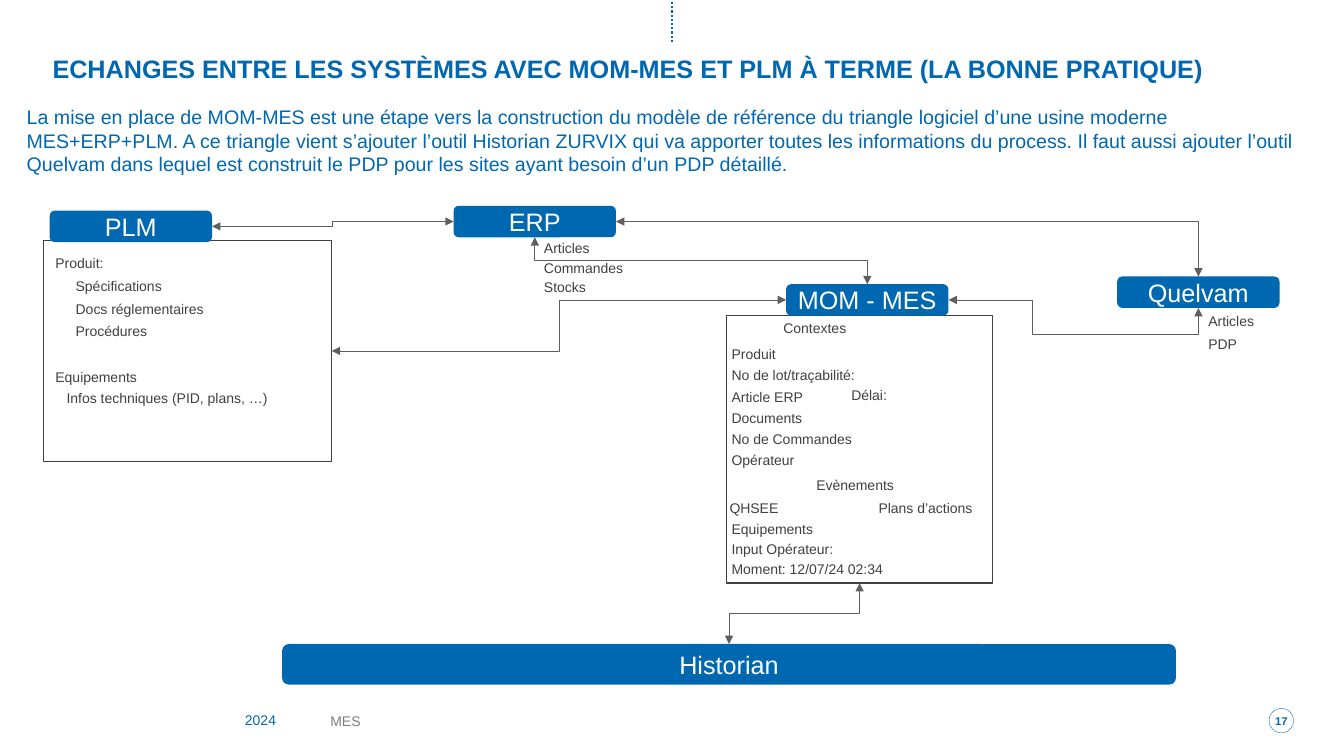
from lxml.etree import SubElement
from pptx import Presentation
from pptx.dml.color import RGBColor
from pptx.enum.dml import MSO_LINE
from pptx.enum.shapes import MSO_CONNECTOR as LINK, MSO_SHAPE as SHAPE
from pptx.enum.text import MSO_ANCHOR as ANCHOR, MSO_AUTO_SIZE as FIT, PP_ALIGN as ALIGN
from pptx.oxml.ns import qn
from pptx.util import Pt

COLORS = {"blue": "0067B1", "white": "FFFFFF", "text": "404040", "link": "5F5F5F", "footer": "7F7F7F"}
FONT = "Arial"

TITLE = "ECHANGES ENTRE LES SYSTÈMES AVEC MOM-MES ET PLM À TERME (LA BONNE PRATIQUE)"
INTRO = (
    "La mise en place de MOM-MES est une étape vers la construction du modèle de référence du triangle "
    "logiciel d’une usine moderne MES+ERP+PLM. A ce triangle vient s’ajouter l’outil Historian ZURVIX "
    "qui va apporter toutes les informations du process. Il faut aussi ajouter l’outil Quelvam dans lequel "
    "est construit le PDP pour les sites ayant besoin d’un PDP détaillé."
)
FRAMES = {"PLM data": (31, 171.5, 206, 158.5), "MES data": (519, 225.5, 190, 191)}
SYSTEMS = {
    "ERP": (324, 147, 116, 22.5),
    "PLM": (35.5, 150.5, 116, 22.5),
    "MOM - MES": (561.5, 203, 116, 22.5),
    "Historian": (201.5, 460, 638.5, 29),
    "Quelvam": (798, 197.5, 116, 22.5),
}
TOP, LEFT, BOTTOM, RIGHT = range(4)
EXCHANGES = [
    ("PLM data", RIGHT, "MOM - MES", LEFT, "bentConnector3", ()),
    ("PLM", RIGHT, "ERP", LEFT, "bentConnector3", ()),
    ("MOM - MES", TOP, "ERP", BOTTOM, "bentConnector3", ()),
    ("MES data", BOTTOM, "Historian", TOP, "bentConnector3", ()),
    ("Quelvam", TOP, "ERP", RIGHT, "bentConnector2", ()),
    ("MOM - MES", RIGHT, "Quelvam", BOTTOM, "bentConnector4", (33700, 424300)),
]
LABELS = [
    (32.5, 178, 0, 63, ["Produit:"]),
    (47, 195, 16, 108, ["Spécifications", "Docs réglementaires", "Procédures"]),
    (32.5, 259.5, 0, 76, ["Equipements"]),
    (40.5, 275, 0, 161, ["Infos techniques (PID, plans, …)"]),
    (381.5, 167.5, 14, 76, ["Articles", "Commandes", "Stocks"]),
    (552.5, 224.5, 0, 76, ["Contextes"]),
    (515.5, 243.5, 15.1, 116,
     ["Produit", "No de lot/traçabilité:", "Article ERP", "Documents", "No de Commandes", "Opérateur"]),
    (601, 272.5, 0, 76, ["Délai:"]),
    (576, 336.5, 0, 76, ["Evènements"]),
    (514, 353.5, 0, 76, ["QHSEE"]),
    (620.5, 353, 0, 88.5, ["Plans d’actions"]),
    (515.5, 368, 14.3, 128, ["Equipements", "Input Opérateur:", "Moment: 12/07/24 02:34"]),
    (856, 219.5, 16.5, 76, ["Articles", "PDP"]),
]
FOOTER = [
    ("2024", (175, 508.5, 61, 13), "blue"),
    ("MES", (236, 509, 124, 12), "footer"),
]
PAGE = "17"


def color(name):
    return RGBColor.from_string(COLORS[name])


def write(shape, words, size, tint, bold=False, align=ALIGN.LEFT, anchor=ANCHOR.TOP, inset=None, wrap=True):
    frame = shape.text_frame
    frame.word_wrap = wrap
    frame.auto_size = FIT.NONE
    frame.vertical_anchor = anchor
    if inset is not None:
        frame.margin_left = frame.margin_right = frame.margin_top = frame.margin_bottom = Pt(inset)
    paragraph = frame.paragraphs[0]
    paragraph.alignment = align
    run = paragraph.add_run()
    run.text = words
    run.font.name = FONT
    run.font.size = Pt(size)
    run.font.bold = bold
    run.font.color.rgb = color(tint)
    return paragraph


def add_text(place, words, size, tint, **options):
    write(slide.shapes.add_textbox(*map(Pt, place)), words, size, tint, **options)


def add_block(kind, place, fill=None, line=None, width=0.75):
    block = slide.shapes.add_shape(kind, *map(Pt, place))
    block.shadow.inherit = False
    if fill:
        block.fill.solid()
        block.fill.fore_color.rgb = color(fill)
    else:
        block.fill.background()
    if line:
        block.line.color.rgb = color(line)
        block.line.width = Pt(width)
    else:
        block.line.fill.background()
    return block


def style_line(connector, tint, width):
    connector.line.color.rgb = color(tint)
    connector.line.width = Pt(width)
    SubElement(connector._element.spPr, qn("a:effectLst"))


def turn_upright(connector):
    x1, y1, x2, y2 = connector.begin_x, connector.begin_y, connector.end_x, connector.end_y
    length, breadth = abs(y2 - y1), abs(x2 - x1)
    connector.left = (x1 + x2 - length) // 2
    connector.top = (y1 + y2 - breadth) // 2
    connector.width, connector.height = length, breadth
    downward = y2 > y1
    xfrm = connector._element.spPr.find(qn("a:xfrm"))
    xfrm.set("rot", str((90 if downward else 270) * 60000))
    xfrm.set("flipH", "0")
    xfrm.set("flipV", "0" if downward else "1")


def add_exchange(source, source_side, target, target_side, bend, adjustments):
    connector = slide.shapes.add_connector(LINK.ELBOW, 0, 0, 0, 0)
    connector.begin_connect(blocks[source], source_side)
    connector.end_connect(blocks[target], target_side)
    if source_side in (TOP, BOTTOM):
        turn_upright(connector)
    style_line(connector, "link", 0.5)
    properties = connector._element.spPr
    geometry = properties.find(qn("a:prstGeom"))
    geometry.set("prst", bend)
    guides = geometry.find(qn("a:avLst"))
    for number, value in enumerate(adjustments, 1):
        SubElement(guides, qn("a:gd"), name=f"adj{number}", fmla=f"val {value}")
    for end in ("a:headEnd", "a:tailEnd"):
        SubElement(properties.find(qn("a:ln")), qn(end), type="triangle")


deck = Presentation()
deck.slide_width, deck.slide_height = Pt(960), Pt(540)
slide = deck.slides.add_slide(deck.slide_layouts[5])

title = slide.shapes.title
title.left, title.top, title.width, title.height = map(Pt, (37.5, 40.5, 885, 31.5))
title.fill.solid()
title.fill.fore_color.rgb = color("white")
write(title, TITLE, 18, "blue", bold=True, inset=0).line_spacing = 0.9

marker = slide.shapes.add_connector(LINK.STRAIGHT, Pt(480), Pt(30), Pt(480), 0)
style_line(marker, "blue", 1.5)
marker.line.dash_style = MSO_LINE.ROUND_DOT

add_text((12, 71.5, 935.5, 58.5), INTRO, 14, "blue")

blocks = {}
for name, place in FRAMES.items():
    blocks[name] = add_block(SHAPE.RECTANGLE, place, line="text")
for name, place in SYSTEMS.items():
    blocks[name] = add_block(SHAPE.ROUNDED_RECTANGLE, place, fill="blue")
    write(blocks[name], name, 18, "white", align=ALIGN.CENTER, anchor=ANCHOR.MIDDLE)

for exchange in EXCHANGES:
    add_exchange(*exchange)

for left, top, step, width, entries in LABELS:
    for row, entry in enumerate(entries):
        add_text((left, top + row * step, width, 19.5), entry, 10, "text")

for words, place, tint in FOOTER:
    add_text(place, words, 10, tint, inset=0, wrap=False)
badge = add_block(SHAPE.OVAL, (906.5, 506, 17.5, 17.5), fill="white", line="blue", width=0.25)
write(badge, PAGE, 8, "blue", bold=True, align=ALIGN.CENTER, anchor=ANCHOR.MIDDLE, inset=0, wrap=False)

deck.save("out.pptx")
